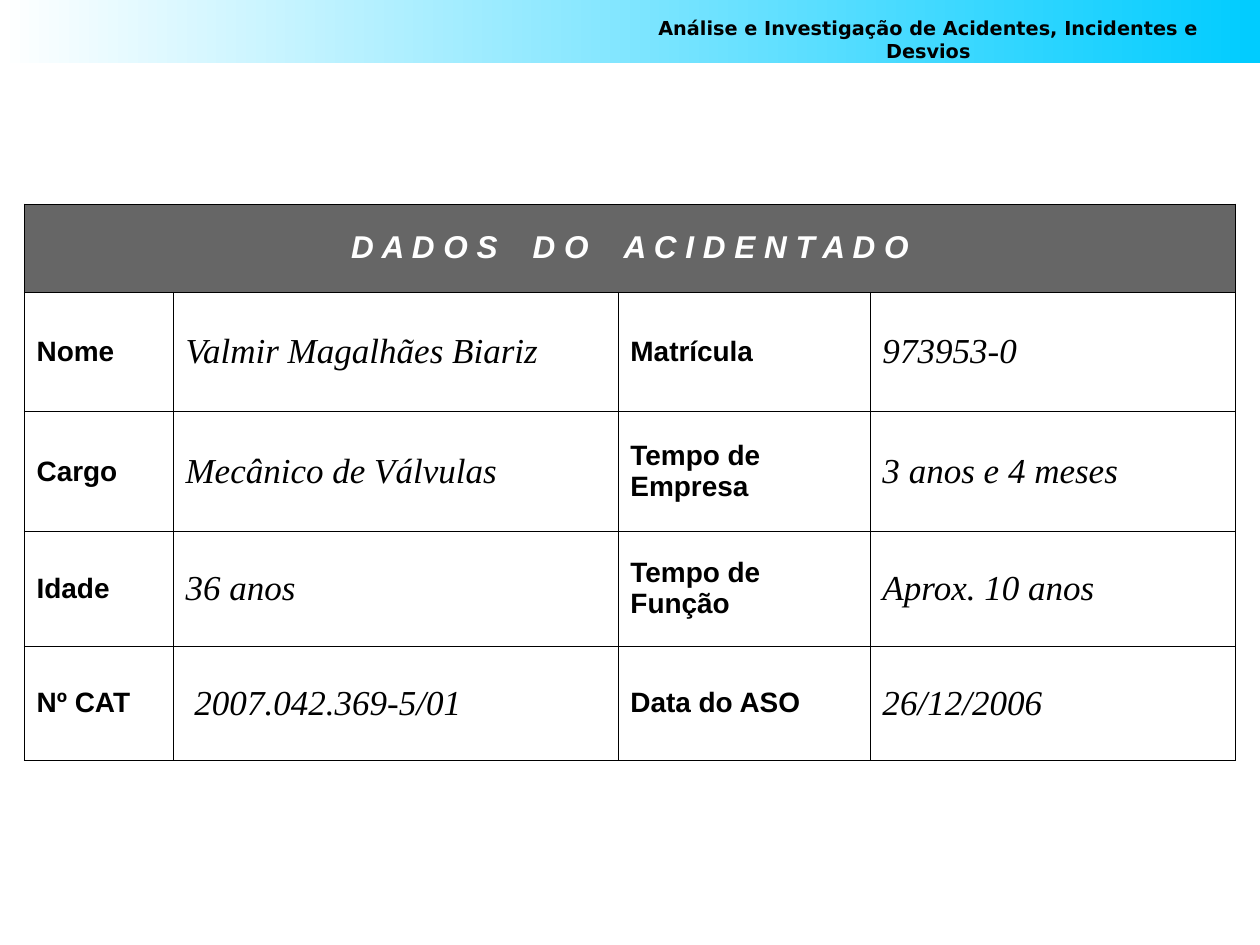
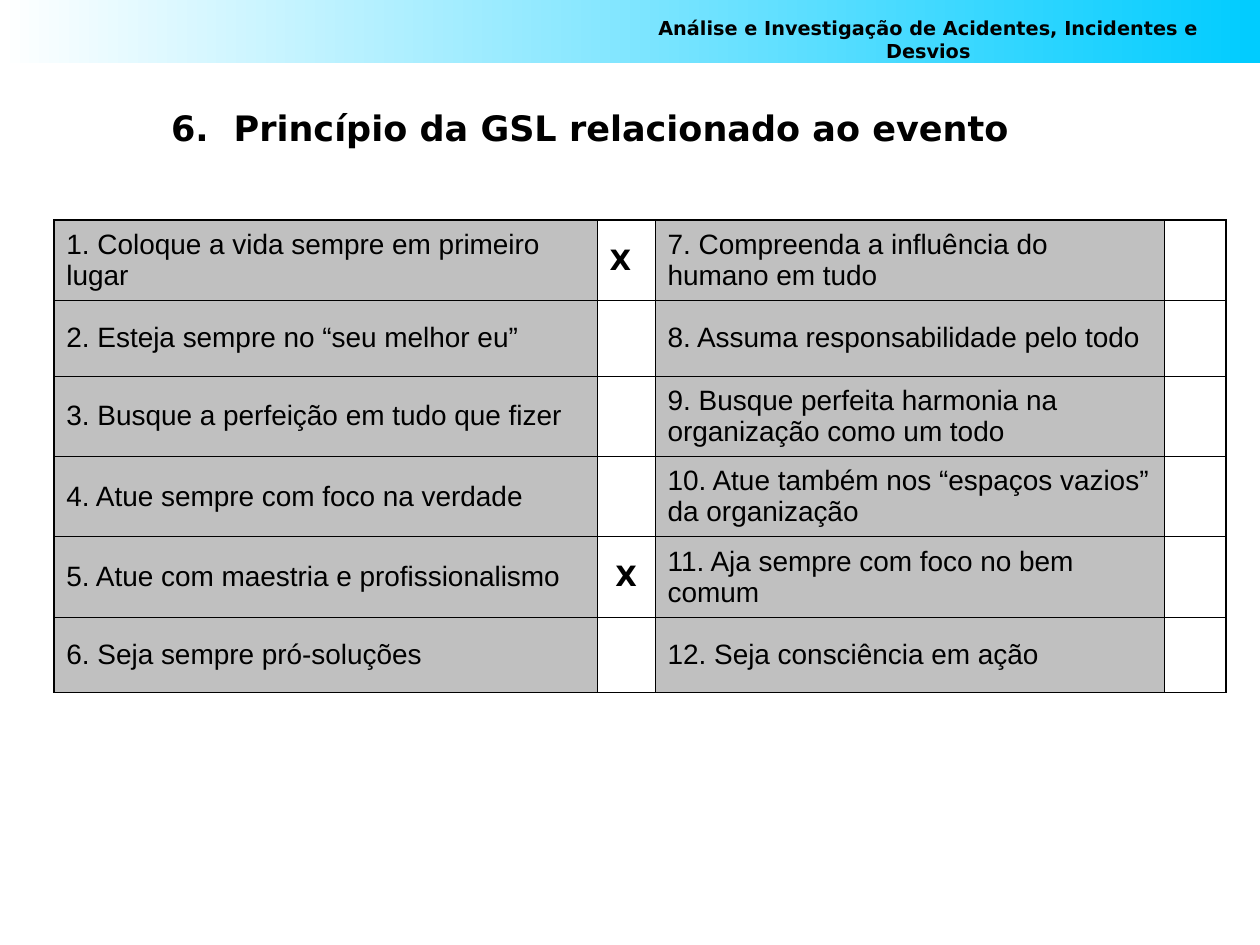
from dataclasses import dataclass
from typing import NamedTuple

from lxml import etree
from pptx import Presentation
from pptx.dml.color import RGBColor
from pptx.enum.shapes import MSO_SHAPE
from pptx.enum.text import MSO_ANCHOR, PP_ALIGN
from pptx.oxml.ns import qn
from pptx.util import Cm, Pt

RECTANGLE = MSO_SHAPE.RECTANGLE
TOP, MIDDLE = MSO_ANCHOR.TOP, MSO_ANCHOR.MIDDLE
LEFT, CENTER, JUSTIFY = PP_ALIGN.LEFT, PP_ALIGN.CENTER, PP_ALIGN.JUSTIFY
BLANK_LAYOUT = 6


class TextStyle(NamedTuple):
    font: str
    size: float
    color: str
    bold: bool = False
    italic: bool = False


@dataclass(frozen=True)
class Theme:
    white: str = "FFFFFF"
    black: str = "000000"
    band: str = "00CCFF"
    heading_fill: str = "666666"
    principle_fill: str = "C0C0C0"
    thin: float = 0.45
    thick: float = 1.08
    running_title: TextStyle = TextStyle("DejaVu Sans", 11, "000000", bold=True)
    section: TextStyle = TextStyle("DejaVu Sans", 20, "000000", bold=True)
    heading: TextStyle = TextStyle("Arial", 18, "FFFFFF", bold=True, italic=True)
    label: TextStyle = TextStyle("Arial", 16, "000000", bold=True)
    value: TextStyle = TextStyle("Times New Roman", 20, "000000", italic=True)
    principle: TextStyle = TextStyle("Arial", 16, "000000")
    mark: TextStyle = TextStyle("DejaVu Sans", 16, "000000", bold=True)


THEME = Theme()


class Entry(NamedTuple):
    text: str
    style: TextStyle
    fill: str | None = None
    align: PP_ALIGN = LEFT
    extra_left: float = 0


class Grid(NamedTuple):
    left: float
    top: float
    widths: list[float]
    heights: list[float]
    outer_line: float


WORD_GAP = 15
HEADING_WORDS = ["D A D O S", "D O", "A C I D E N T A D O"]
VICTIM_GRID = Grid(0.49, 4.11, [3, 8.97, 5.08, 7.37], [1.78, 2.41, 2.41, 2.31, 2.31], THEME.thin)
VICTIM_DATA = [
    ("Nome", "Valmir Magalhães Biariz", "Matrícula", "973953-0"),
    ("Cargo", "Mecânico de Válvulas", "Tempo de Empresa", "3 anos e 4 meses"),
    ("Idade", "36 anos", "Tempo de Função", "Aprox. 10 anos"),
    ("Nº CAT", "2007.042.369-5/01", "Data do ASO", "26/12/2006"),
]
INDENTED_VALUE = "2007.042.369-5/01"

PRINCIPLES_GRID = Grid(
    1.09, 4.44, [10.95, 1.17, 10.26, 1.24], [1.62, 1.52, 1.62, 1.62, 1.62, 1.52], THEME.thick
)
PRINCIPLES = [
    "Coloque a vida sempre em primeiro lugar",
    "Esteja sempre no “seu melhor eu”",
    "Busque a perfeição em tudo que fizer",
    "Atue sempre com foco na verdade",
    "Atue com maestria e profissionalismo",
    "Seja sempre pró-soluções",
    "Compreenda a influência do humano em tudo",
    "Assuma responsabilidade pelo todo",
    "Busque perfeita harmonia na organização como um todo",
    "Atue também nos “espaços vazios” da organização",
    "Aja sempre com foco no bem comum",
    "Seja consciência em ação",
]
MARKED = {1: LEFT, 5: CENTER}


def rgb(color: str) -> RGBColor:
    return RGBColor.from_string(color)


def add_run(paragraph, text: str, style: TextStyle):
    run = paragraph.add_run()
    run.text = text
    font = run.font
    font.name, font.size = style.font, Pt(style.size)
    font.bold, font.italic = style.bold, style.italic
    font.color.rgb = rgb(style.color)
    return run


def set_insets(holder) -> None:
    holder.margin_left = holder.margin_right = Cm(0.25)
    holder.margin_top = holder.margin_bottom = Cm(0.13)


def add_rectangle(slide, left: float, top: float, width: float, height: float):
    rectangle = slide.shapes.add_shape(RECTANGLE, Cm(left), Cm(top), Cm(width), Cm(height))
    rectangle.shadow.inherit = False
    rectangle.line.fill.background()
    return rectangle


def add_header(slide) -> None:
    band = add_rectangle(slide, 0, 0, 25.4, 1.27)
    band.fill.gradient()
    band.fill.gradient_angle = 180
    for stop, color in zip(band.fill.gradient_stops, (THEME.band, THEME.white)):
        stop.color.rgb = rgb(color)

    running_title = slide.shapes.add_textbox(Cm(12.9), Cm(0.2), Cm(11.63), Cm(0.74))
    frame = running_title.text_frame
    frame.word_wrap = True
    set_insets(frame)
    paragraph = frame.paragraphs[0]
    paragraph.alignment = CENTER
    add_run(
        paragraph,
        "Análise e Investigação de Acidentes, Incidentes e Desvios",
        THEME.running_title,
    )


def add_section_title(slide, number: int, text: str) -> None:
    plate = add_rectangle(slide, 3.2, 2.18, 21.9, 0.94)
    plate.fill.solid()
    plate.fill.fore_color.rgb = rgb(THEME.white)
    plate_color = plate.fill._xPr.find(".//" + qn("a:srgbClr"))
    etree.SubElement(plate_color, qn("a:alpha"), val="70000")

    frame = plate.text_frame
    frame.word_wrap = True
    frame.vertical_anchor = TOP
    set_insets(frame)
    paragraph = frame.paragraphs[0]
    paragraph.alignment = JUSTIFY
    paragraph.line_spacing = 0.8
    properties = paragraph._p.get_or_add_pPr()
    properties.set("marL", str(Cm(1.26)))
    properties.set("indent", str(-Cm(1.26)))
    bullet_color = etree.SubElement(properties, qn("a:buClr"))
    etree.SubElement(bullet_color, qn("a:srgbClr"), val=THEME.black)
    etree.SubElement(properties, qn("a:buFont"), typeface=THEME.section.font)
    etree.SubElement(properties, qn("a:buAutoNum"), type="arabicPeriod", startAt=str(number))
    add_run(paragraph, text, THEME.section)


def set_borders(cell, widths: dict[str, float]) -> None:
    properties = cell._tc.get_or_add_tcPr()
    for side, width in widths.items():
        line = etree.SubElement(properties, qn(f"a:ln{side}"), w=str(Pt(width)))
        fill = etree.SubElement(line, qn("a:solidFill"))
        etree.SubElement(fill, qn("a:srgbClr"), val=THEME.black)


def set_fill(cell, color: str | None) -> None:
    if color is None:
        cell.fill.background()
    else:
        cell.fill.solid()
        cell.fill.fore_color.rgb = rgb(color)


def add_grid(slide, grid: Grid, entries: list[list[Entry | None]]):
    row_count, column_count = len(grid.heights), len(grid.widths)
    table = slide.shapes.add_table(
        row_count, column_count, Cm(grid.left), Cm(grid.top),
        Cm(sum(grid.widths)), Cm(sum(grid.heights)),
    ).table
    table.first_row = table.horz_banding = False
    for column, width in zip(table.columns, grid.widths):
        column.width = Cm(width)
    for row, height in zip(table.rows, grid.heights):
        row.height = Cm(height)

    for r, row_entries in enumerate(entries):
        for c, entry in enumerate(row_entries):
            cell = table.cell(r, c)
            outer_sides = {
                "L": c == 0, "R": c == column_count - 1,
                "T": r == 0, "B": r == row_count - 1,
            }
            set_borders(cell, {
                side: grid.outer_line if is_outer else THEME.thin
                for side, is_outer in outer_sides.items()
            })
            set_fill(cell, entry.fill if entry else None)
            set_insets(cell)
            cell.vertical_anchor = MIDDLE
            if entry:
                cell.margin_left = Cm(0.25 + entry.extra_left)
                paragraph = cell.text_frame.paragraphs[0]
                paragraph.alignment = entry.align
                if entry.text:
                    add_run(paragraph, entry.text, entry.style)
    return table


def build_victim_slide(slide) -> None:
    add_header(slide)
    heading = Entry("", THEME.heading, THEME.heading_fill, CENTER)
    entries = [[heading] * 4]
    for record in VICTIM_DATA:
        entries.append([
            Entry(
                text,
                THEME.value if c % 2 else THEME.label,
                extra_left=0.18 if text == INDENTED_VALUE else 0,
            )
            for c, text in enumerate(record)
        ])
    table = add_grid(slide, VICTIM_GRID, entries)
    table.cell(0, 0).merge(table.cell(0, 3))
    paragraph = table.cell(0, 0).text_frame.paragraphs[0]
    for position, word in enumerate(HEADING_WORDS):
        if position:
            gap = add_run(paragraph, " ", THEME.heading)
            gap.font._element.set("spc", str(WORD_GAP * 100))
        add_run(paragraph, word, THEME.heading)


def build_principles_slide(slide) -> None:
    add_header(slide)
    add_section_title(slide, 6, "Princípio da GSL relacionado ao evento")
    half = len(PRINCIPLES) // 2
    entries = []
    for first in range(1, half + 1):
        row = []
        for number in (first, first + half):
            text = f"{number}. {PRINCIPLES[number - 1]}"
            row.append(Entry(text, THEME.principle, THEME.principle_fill))
            is_marked = number in MARKED
            row.append(Entry("X", THEME.mark, align=MARKED[number]) if is_marked else None)
        entries.append(row)
    add_grid(slide, PRINCIPLES_GRID, entries)


def main() -> None:
    presentation = Presentation()
    presentation.slide_width, presentation.slide_height = Cm(25.4), Cm(19.05)
    for build in (build_victim_slide, build_principles_slide):
        build(presentation.slides.add_slide(presentation.slide_layouts[BLANK_LAYOUT]))
    presentation.save("out.pptx")


if __name__ == "__main__":
    main()
